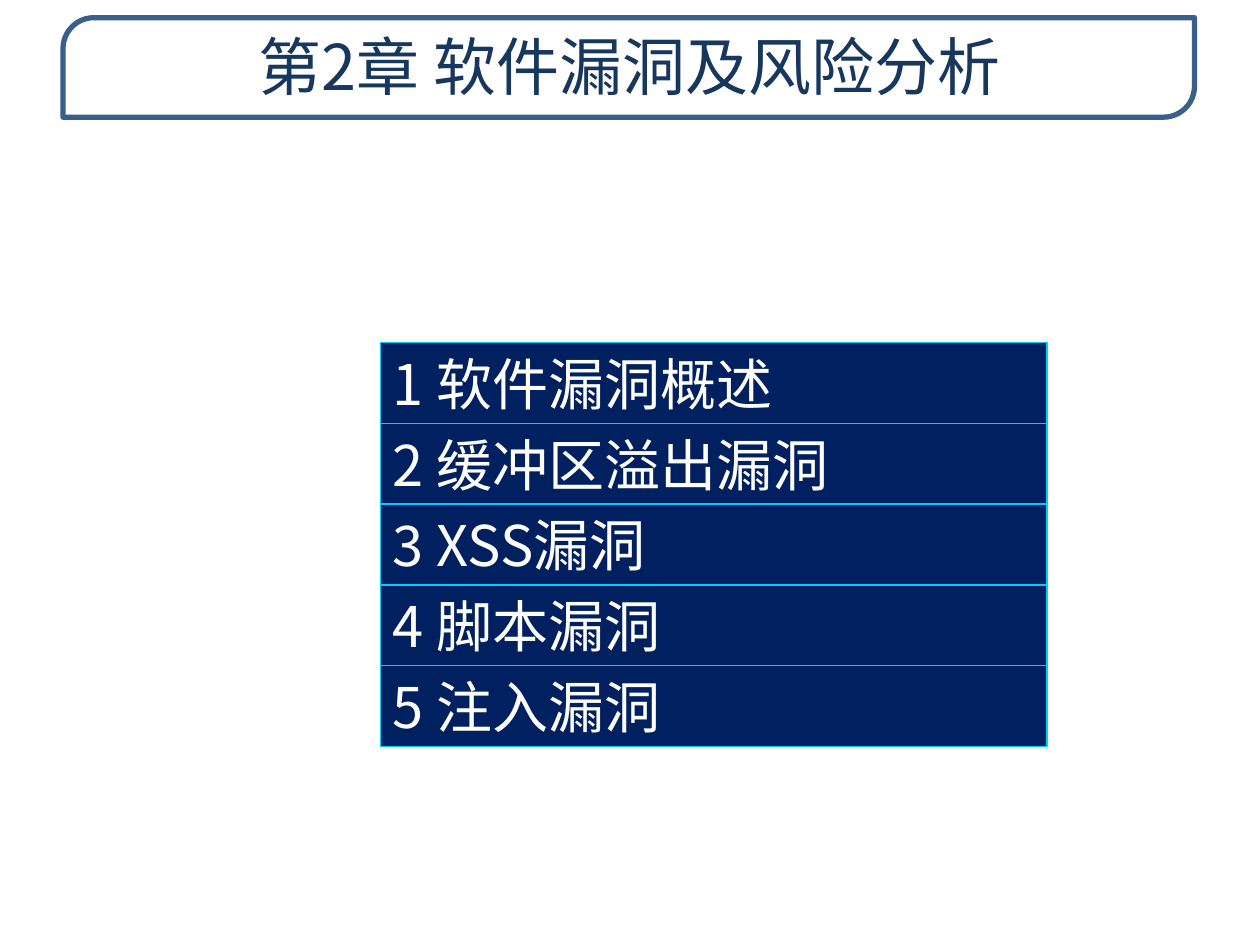
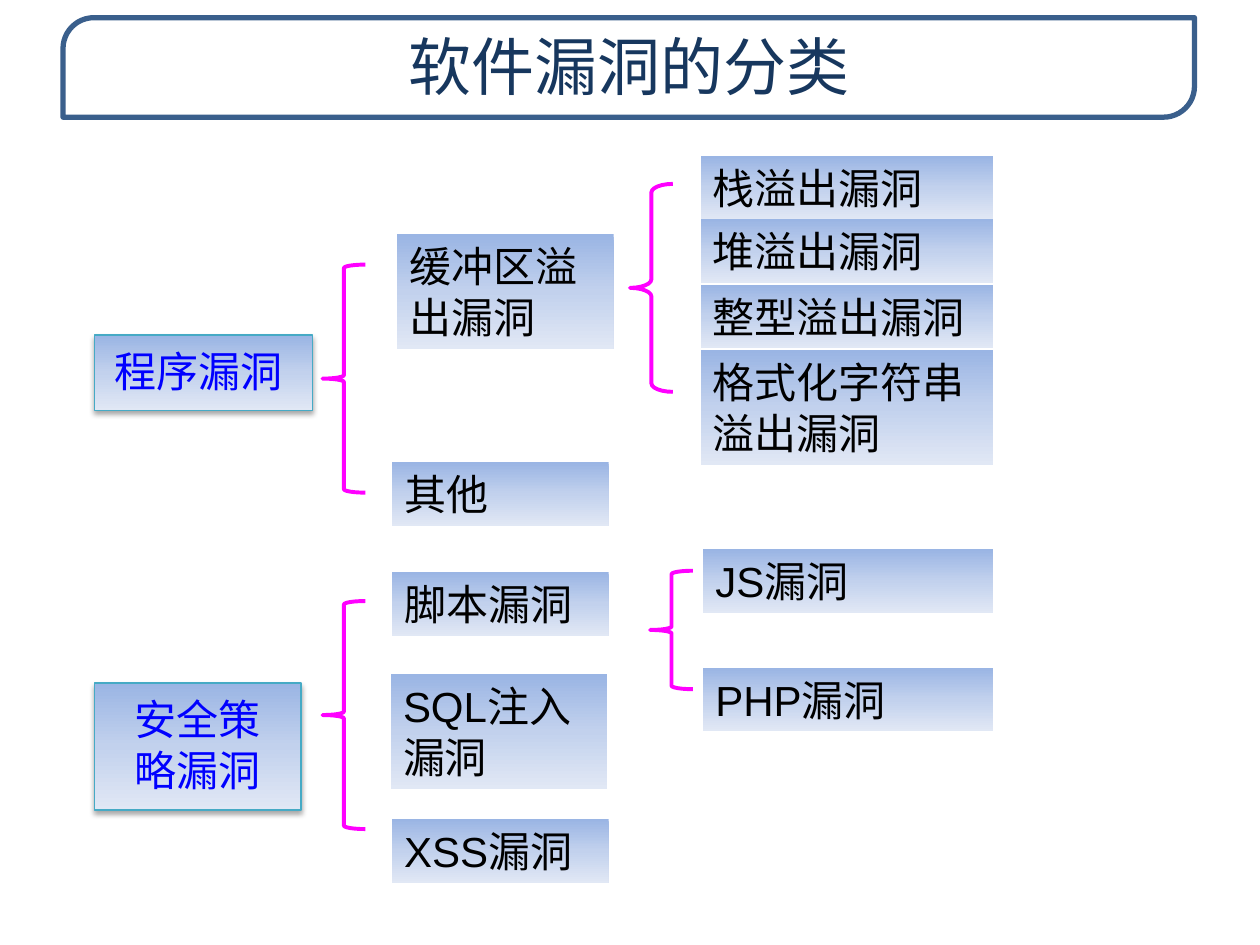
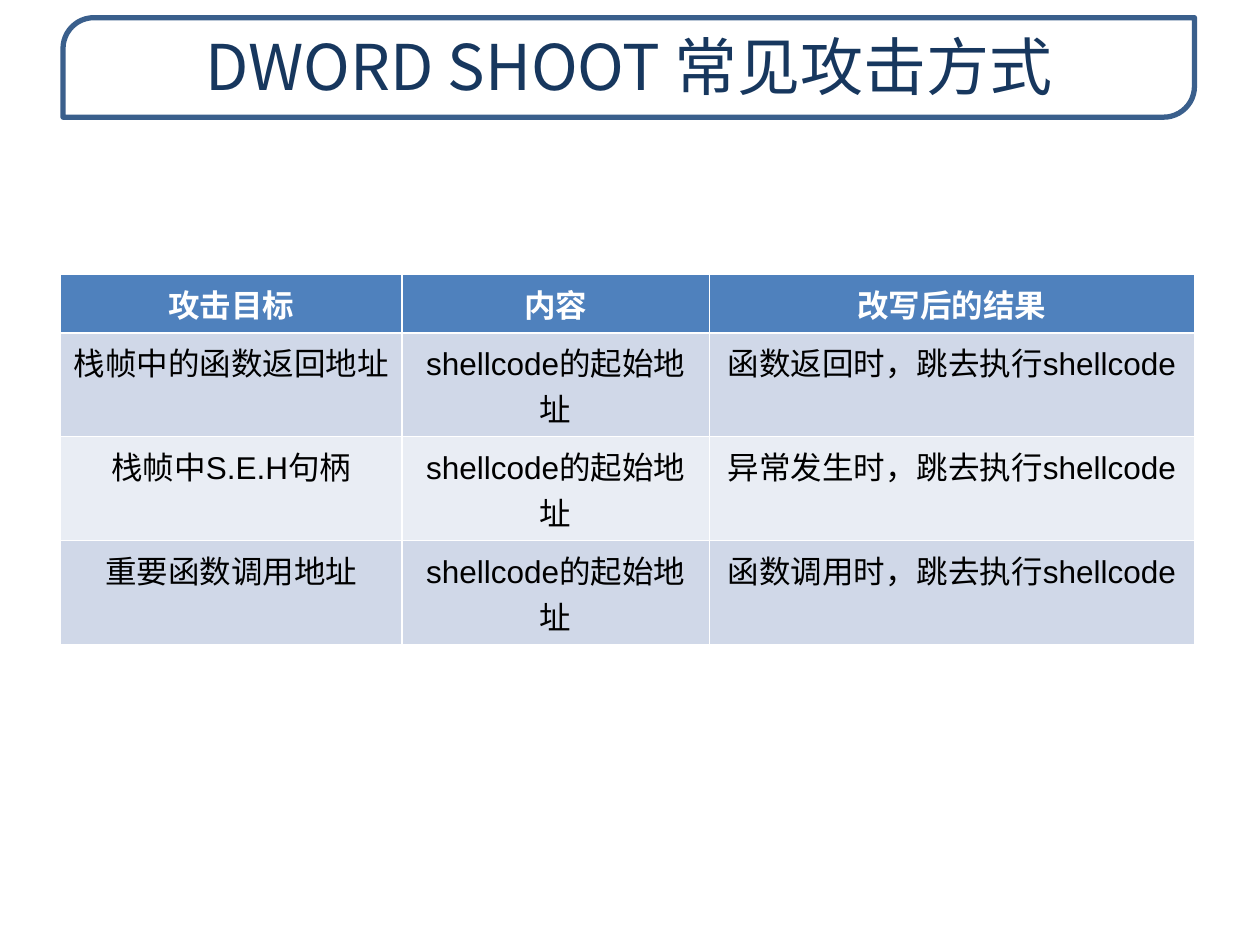
import copy

import pptx
import pptx.dml.color
import pptx.enum.shapes
import pptx.enum.text
import pptx.oxml
import pptx.oxml.ns
import pptx.util

SHAPES = pptx.enum.shapes.MSO_SHAPE
ALIGN = pptx.enum.text.PP_ALIGN
ANCHOR = pptx.enum.text.MSO_ANCHOR
CJK_FONT = "Noto Sans CJK SC"
TITLE_ONLY = 5
COLUMNS, ROWS = 100, 75

NAVY, TITLE_BLUE, BAND_LINE = "002060", "17375E", "3A5F8C"
CYAN, TEAL, MAGENTA, BLUE = "00CCFF", "46AAC5", "FF00FF", "0000FF"
WHITE, BLACK, HEADER_BLUE = "FFFFFF", "000000", "4F81BD"
STRIPES = ("D0D8E8", "E9EDF4")
GRADIENT = ((0, "9AB5E4"), (0.5, "C2D1ED"), (1, "E1E8F5"))


def rgb(value):
    return pptx.dml.color.RGBColor.from_string(value)


def xml(text):
    return pptx.oxml.parse_xml(text.replace(">", f" {pptx.oxml.ns.nsdecls('a')}>", 1))


class Deck:
    """Holds the shared style and the current slide, and draws each kind of element."""

    def __init__(self):
        self.presentation = pptx.Presentation()
        self.presentation.slide_width = pptx.util.Inches(10)
        self.presentation.slide_height = pptx.util.Inches(7.5)
        self.layout = self.presentation.slide_layouts[TITLE_ONLY]
        self.slide = None
        self.has_band = False

    def box(self, left, top, width, height):
        across = self.presentation.slide_width / COLUMNS
        down = self.presentation.slide_height / ROWS
        return [round(length * unit) for length, unit in
                zip((left, top, width, height), (across, down) * 2)]

    def set_text(self, frame, text, size, color, font=CJK_FONT, align=ALIGN.LEFT,
                 bold=False, line_points=None):
        frame.text = text
        frame.word_wrap = True
        paragraph = frame.paragraphs[0]
        paragraph.alignment = align
        if line_points:
            paragraph.line_spacing = pptx.util.Pt(line_points)
        paragraph.font.size = pptx.util.Pt(size)
        paragraph.font.bold = bold
        paragraph.font.color.rgb = rgb(color)
        paragraph.font.name = font
        paragraph.font._element.find(pptx.oxml.ns.qn("a:latin")).addnext(
            xml(f'<a:ea typeface="{CJK_FONT}"></a:ea>'))

    def shape(self, kind, place, fill=None, line=None, line_width=0.75):
        shape = self.slide.shapes.add_shape(kind, *self.box(*place))
        shape.shadow.inherit = False
        if fill:
            shape.fill.solid()
            shape.fill.fore_color.rgb = rgb(fill)
        else:
            shape.fill.background()
        if line:
            shape.line.color.rgb = rgb(line)
            shape.line.width = pptx.util.Pt(line_width)
        else:
            shape.line.fill.background()
        return shape

    def add_band(self):
        band = self.shape(SHAPES.ROUND_2_DIAG_RECTANGLE, (5, 1.4, 89.8, 7.9), WHITE, BAND_LINE, 3)
        band.adjustments[0] = 0.31
        color = band.element.spPr.find(".//" + pptx.oxml.ns.qn("a:srgbClr"))
        color.append(xml('<a:alpha val="85000"></a:alpha>'))
        self.layout.placeholders[0].element.addprevious(band.element)
        self.has_band = True

    def new_slide(self, title):
        self.slide = self.presentation.slides.add_slide(self.layout)
        if not self.has_band:
            self.add_band()
        shape = self.slide.shapes.title
        shape.left, shape.top, shape.width, shape.height = self.box(5.1, 1.4, 89.7, 7.6)
        shape.text_frame.vertical_anchor = ANCHOR.MIDDLE
        self.set_text(shape.text_frame, title, 36, TITLE_BLUE, align=ALIGN.CENTER)

    def chapter_row(self, text, *place):
        shape = self.shape(SHAPES.RECTANGLE, place, NAVY, CYAN)
        shape.text_frame.vertical_anchor = ANCHOR.MIDDLE
        self.set_text(shape.text_frame, text, 32, WHITE)

    def gradient_box(self, place, line=None):
        shape = self.shape(SHAPES.RECTANGLE, place, line=line)
        shape.fill.gradient()
        shape.fill.gradient_angle = 270
        stops = shape.element.spPr.find(".//" + pptx.oxml.ns.qn("a:gsLst"))
        stops.append(copy.deepcopy(stops[-1]))
        for stop, (position, color) in zip(shape.fill.gradient_stops, GRADIENT):
            stop.position = position
            stop.color.rgb = rgb(color)
        shape.text_frame.vertical_anchor = ANCHOR.TOP
        return shape

    def category(self, text, *place, align=ALIGN.LEFT):
        shape = self.gradient_box(place, TEAL)
        shape.element.spPr.find(pptx.oxml.ns.qn("a:effectLst")).append(xml(
            '<a:outerShdw blurRad="39370" dist="22860" dir="5400000" rotWithShape="0">'
            '<a:srgbClr val="000000"><a:alpha val="35000"/></a:srgbClr></a:outerShdw>'))
        frame = shape.text_frame
        frame.margin_left = frame.margin_right = pptx.util.Inches(0.16)
        frame.margin_top, frame.margin_bottom = pptx.util.Inches(0.08), pptx.util.Inches(0.12)
        self.set_text(frame, text, 24, BLUE, "Calibri", align, line_points=29)

    def kind(self, text, *place):
        shape = self.gradient_box(place)
        self.set_text(shape.text_frame, text, 24, BLACK, "Arial", line_points=29)

    def brace(self, left, top, height, curve=0.08):
        shape = self.shape(SHAPES.LEFT_BRACE, (left, top, 3.4, height), line=MAGENTA, line_width=2.25)
        shape.adjustments[0] = curve

    def table(self, rows, left, top, widths, row_height):
        place = self.box(left, top, sum(widths), row_height * len(rows))
        table = self.slide.shapes.add_table(len(rows), len(widths), *place).table
        for column, width in zip(table.columns, widths):
            column.width = self.box(width, 0, 0, 0)[0]
        for row_number, row in enumerate(rows):
            header = row_number == 0
            for column_number, text in enumerate(row):
                cell = table.cell(row_number, column_number)
                cell.fill.solid()
                cell.fill.fore_color.rgb = rgb(
                    HEADER_BLUE if header else STRIPES[(row_number - 1) % 2])
                self.set_text(cell.text_frame, text, 18, WHITE if header else BLACK,
                              "Arial", ALIGN.CENTER, header)


def chapter_slide(deck):
    deck.new_slide("第2章 软件漏洞及风险分析")
    topics = ("软件漏洞概述", "缓冲区溢出漏洞", "XSS漏洞", "脚本漏洞", "注入漏洞")
    for index, topic in enumerate(topics):
        deck.chapter_row(f"{index + 1} {topic}", 30.2, 27.2 + 6.41 * index, 52.9, 6.4)


def classification_slide(deck):
    deck.new_slide("软件漏洞的分类")
    deck.category("程序漏洞", 7.5, 26.6, 17.3, 6)
    deck.category("安全策略漏洞", 7.5, 54.2, 16.4, 10.1, align=ALIGN.CENTER)
    one_line, two_lines = 5.05, 9.1
    groups = (
        (17.2, (("缓冲区溢出漏洞", 31.5, 18.6, two_lines), ("其他", 31.1, 36.7, one_line),
                ("脚本漏洞", 31.1, 45.4, one_line), ("SQL注入漏洞", 31, 53.5, two_lines),
                ("XSS漏洞", 31.1, 65, one_line))),
        (23.2, (("栈溢出漏洞", 55.6, 12.4, one_line), ("堆溢出漏洞", 55.6, 17.4, one_line),
                ("整型溢出漏洞", 55.6, 22.6, one_line), ("格式化字符串溢出漏洞", 55.6, 27.8, two_lines))),
        (23, (("JS漏洞", 55.8, 43.6, one_line), ("PHP漏洞", 55.8, 53, one_line))),
    )
    for width, kinds in groups:
        for text, left, top, height in kinds:
            deck.kind(text, left, top, width, height)
    for top in (21, 47.7):
        deck.brace(25.6, top, 18.1)
    deck.brace(50, 14.6, 16.5, 0.2)
    deck.brace(51.6, 45.3, 9.4)


def attack_slide(deck):
    deck.new_slide("DWORD SHOOT 常见攻击方式")
    attacks = (("栈帧中的函数返回地址", "函数返回时"),
               ("栈帧中S.E.H句柄", "异常发生时"),
               ("重要函数调用地址", "函数调用时"))
    rows = [("攻击目标", "内容", "改写后的结果")]
    rows += [(target, "shellcode的起始地址", f"{moment}，跳去执行shellcode")
             for target, moment in attacks]
    deck.table(rows, 4.8, 21.8, (27.1, 24.4, 38.5), 4.05)


def main():
    deck = Deck()
    chapter_slide(deck)
    classification_slide(deck)
    attack_slide(deck)
    deck.presentation.save("out.pptx")


if __name__ == "__main__":
    main()
